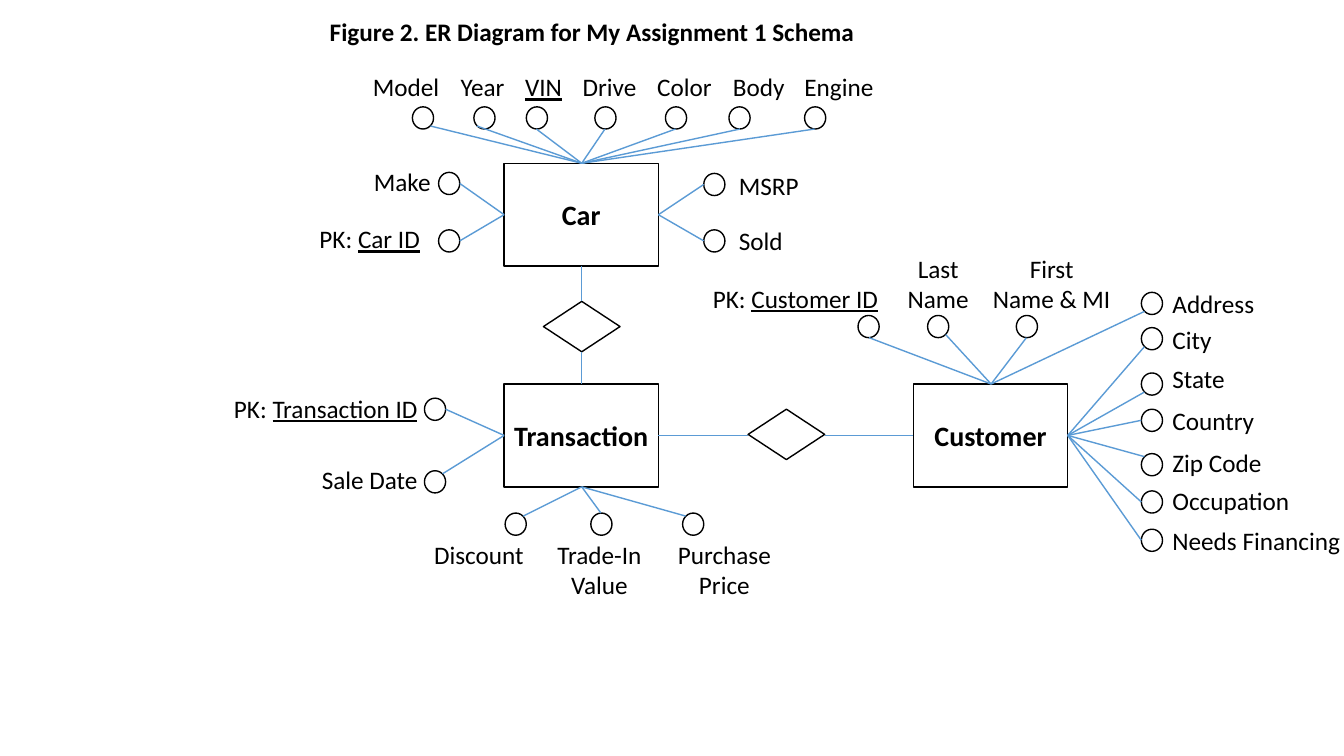
"""Build an entity-relationship diagram slide for a car sales schema."""
from lxml.etree import SubElement
from pptx import Presentation
from pptx.dml.color import RGBColor
from pptx.enum.shapes import MSO_CONNECTOR, MSO_SHAPE
from pptx.enum.text import MSO_ANCHOR, MSO_AUTO_SIZE, PP_ALIGN
from pptx.oxml.ns import qn
from pptx.util import Pt

PX = 9144
BLACK, BLUE = "000000", "5B9BD5"
CIRCLE_W, CIRCLE_H = 21, 22
ENTITY_W, ENTITY_H = 153, 102
DIAMOND_W, DIAMOND_H = 76, 50
LEFT, CENTER, RIGHT = PP_ALIGN.LEFT, PP_ALIGN.CENTER, PP_ALIGN.RIGHT


def write(shape, text, size=18, bold=False, align=LEFT, anchor=MSO_ANCHOR.TOP, fit=MSO_AUTO_SIZE.NONE):
    """Fill a shape with text; underscores enclose underlined words."""
    frame = shape.text_frame
    frame.word_wrap, frame.auto_size, frame.vertical_anchor = False, fit, anchor
    for index, line in enumerate(text.split("\n")):
        paragraph = frame.add_paragraph() if index else frame.paragraphs[0]
        paragraph.alignment = align
        for position, part in enumerate(line.split("_")):
            if part:
                run = paragraph.add_run()
                run.text = part
                run.font.name, run.font.size, run.font.bold = "Calibri", Pt(size), bold
                run.font.underline = position % 2 == 1
                run.font.color.rgb = RGBColor.from_string(BLACK)


def outline(kind, left, top, width, height):
    """Add an unfilled black-outlined shape."""
    shape = slide.shapes.add_shape(kind, left * PX, top * PX, width * PX, height * PX)
    shape.shadow.inherit = False
    shape.fill.background()
    shape.line.color.rgb = RGBColor.from_string(BLACK)
    shape.line.width = Pt(1)
    return shape


presentation = Presentation()
presentation.slide_width, presentation.slide_height = 1333 * PX, 750 * PX
slide = presentation.slides.add_slide(presentation.slide_layouts[5])

title = slide.shapes.title
title.left, title.top, title.width, title.height = 317 * PX, 11 * PX, 541 * PX, 40 * PX
write(title, "Figure 2. ER Diagram for My Assignment 1 Schema", bold=True)

entities = {"Car": (500, 162), "Transaction": (500, 381), "Customer": (906, 381)}
edges = {}
for name, (left, top) in entities.items():
    entity = outline(MSO_SHAPE.RECTANGLE, left, top, ENTITY_W, ENTITY_H)
    write(entity, name, size=20, bold=True, align=CENTER, anchor=MSO_ANCHOR.MIDDLE)
    middle_x, middle_y = left + ENTITY_W // 2 + 1, top + ENTITY_H // 2
    edges[name, "top"] = middle_x, top
    edges[name, "bottom"] = middle_x, top + ENTITY_H
    edges[name, "left"] = left, middle_y
    edges[name, "right"] = left + ENTITY_W, middle_y

for left, top in [(539, 299), (742, 406)]:
    outline(MSO_SHAPE.DIAMOND, left, top, DIAMOND_W, DIAMOND_H)

links = [
    (edges["Car", "bottom"], (577, 299)),
    ((577, 349), edges["Transaction", "top"]),
    (edges["Transaction", "right"], (742, 432)),
    ((818, 432), edges["Customer", "left"]),
]

# Each attribute: label, label left, top, width, circle left, top, side of the circle that is linked
attributes = {
    ("Car", "top", LEFT): [
        ("Model", 360, 66, 87, 409, 106, "SE"),
        ("Year", 447, 66, 64, 470, 106, "SW"),
        ("_VIN_", 511, 66, 57, 522, 106, "S"),
        ("Drive", 568, 66, 74, 590, 106, "S"),
        ("Color", 642, 66, 75, 660, 106, "S"),
        ("Body", 717, 66, 72, 723, 106, "S"),
        ("Engine", 788, 66, 89, 798, 106, "S"),
    ],
    ("Car", "left", LEFT): [
        ("Make", 361, 160, 77, 435, 171, "E"),
        ("PK: _Car ID_", 307, 217, 121, 435, 228, "E"),
    ],
    ("Car", "right", LEFT): [
        ("MSRP", 723, 164, 80, 698, 172, "W"),
        ("Sold", 723, 219, 64, 698, 228, "W"),
    ],
    ("Transaction", "left", RIGHT): [
        ("PK: _Transaction ID_", 220, 385, 204, 421, 395, "E"),
        ("Sale Date", 308, 456, 116, 421, 467, "NE"),
    ],
    ("Transaction", "bottom", CENTER): [
        ("Discount", 420, 530, 110, 501, 509, "NE"),
        ("Trade-In\nValue", 542, 530, 105, 586, 509, "N"),
        ("Purchase\nPrice", 662, 530, 113, 677, 509, "NW"),
    ],
    ("Customer", "top", CENTER): [
        ("PK: _Customer ID_", 696, 276, 186, 851, 313, "S"),
        ("Last\nName", 890, 246, 81, 920, 313, "SE"),
        ("First\nName & MI", 974, 246, 138, 1008, 313, "S"),
    ],
    ("Customer", "top", LEFT): [
        ("Address", 1153, 281, 102, 1132, 290, "SW"),
    ],
    ("Customer", "right", LEFT): [
        ("City", 1153, 317, 59, 1132, 325, "SW"),
        ("State", 1153, 356, 72, 1132, 370, "SW"),
        ("Country", 1153, 397, 102, 1132, 406, "W"),
        ("Zip Code", 1153, 439, 110, 1132, 450, "NW"),
        ("Occupation", 1153, 477, 138, 1132, 487, "W"),
        ("Needs Financing", 1153, 516, 188, 1132, 525, "W"),
    ],
}

for (name, edge, align), group in attributes.items():
    for label, left, top, width, circle_x, circle_y, side in group:
        height = 71 if "\n" in label else 40
        box = slide.shapes.add_textbox(left * PX, top * PX, width * PX, height * PX)
        write(box, label, align=align, fit=MSO_AUTO_SIZE.SHAPE_TO_FIT_TEXT)
        outline(MSO_SHAPE.OVAL, circle_x, circle_y, CIRCLE_W, CIRCLE_H)
        reach = 0.71 if len(side) == 2 else 1
        toward_x = ("E" in side) - ("W" in side)
        toward_y = ("S" in side) - ("N" in side)
        end_x = round(circle_x + CIRCLE_W / 2 * (1 + reach * toward_x))
        end_y = round(circle_y + CIRCLE_H / 2 * (1 + reach * toward_y))
        links.append((edges[name, edge], (end_x, end_y)))

for (start_x, start_y), (end_x, end_y) in links:
    link = slide.shapes.add_connector(
        MSO_CONNECTOR.STRAIGHT, start_x * PX, start_y * PX, end_x * PX, end_y * PX)
    link.line.color.rgb = RGBColor.from_string(BLUE)
    link.line.width = Pt(1)
    SubElement(link._element.spPr, qn("a:effectLst"))

presentation.save("out.pptx")
